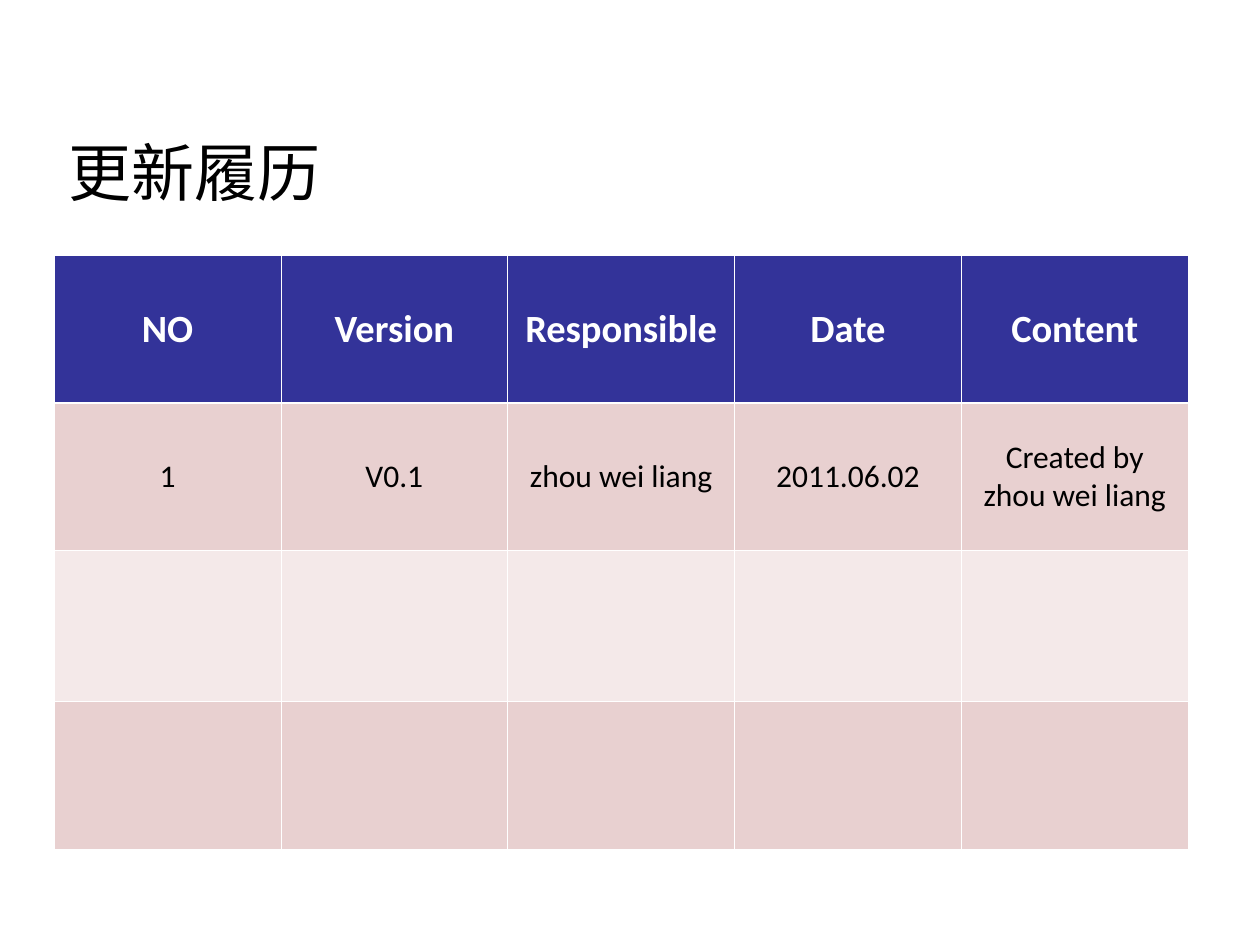
from lxml import etree
from pptx import Presentation
from pptx import util as u
from pptx.dml.color import RGBColor
from pptx.enum import text as t
from pptx.oxml import ns

WIDE, HIGH = u.Inches(10), u.Inches(7.5)
HEAD = {"size": u.Pt(22), "name": "Calibri", "bold": True}
BODY = {"size": u.Pt(18), "name": "Calibri", "bold": False}
ROWS = [
    # height, fill, text colour, font, space before, words
    (1.17, "333399", "FFFFFF", HEAD, 5.5,
     ["NO", "Version", "Responsible", "Date", "Content"]),
    (1.17, "E8D0D0", "000000", BODY, 4.5,
     ["1", "V0.1", "zhou wei liang", "2011.06.02", "Created by zhou wei liang"]),
    (1.2, "F4E9E9", "000000", BODY, 4.5, [""] * 5),
    (1.17, "E8D0D0", "000000", BODY, 4.5, [""] * 5),
]


def paint(fill, tone):
    fill.solid()
    fill.fore_color.rgb = RGBColor.from_string(tone)


def style(font, tone, form):
    paint(font.fill, tone)
    for key, val in form.items():
        setattr(font, key, val)


def edge(cell, side, width):
    """Draw a white border on one side (L, R, T or B) of a cell."""
    props = cell._tc.get_or_add_tcPr()
    line = etree.SubElement(props, ns.qn(f"a:ln{side}"), w=str(u.Pt(width)))
    fill = etree.SubElement(line, ns.qn("a:solidFill"))
    etree.SubElement(fill, ns.qn("a:srgbClr"), val="FFFFFF")


def add_title(slide, box, words):
    title = slide.shapes.title
    title.left, title.top, title.width, title.height = box
    frame = title.text_frame
    frame.text = words
    frame.vertical_anchor = t.MSO_ANCHOR.MIDDLE
    para = frame.paragraphs[0]
    para.alignment = t.PP_ALIGN.LEFT
    style(para.runs[0].font, "000000",
          {"size": u.Pt(36), "name": "League Spartan"})


def add_log(slide, box):
    """Place the table of revisions in the box."""
    table = slide.shapes.add_table(len(ROWS), len(ROWS[0][-1]), *box).table
    for r, (high, tone, ink, form, gap, words) in enumerate(ROWS):
        table.rows[r].height = u.Inches(high)
        for c, word in enumerate(words):
            cell = table.cell(r, c)
            for side in "LRTB":
                heavy = (r, side) in ((0, "B"), (1, "T"))
                edge(cell, side, 1.47 if heavy else 0.45)
            paint(cell.fill, tone)
            cell.vertical_anchor = t.MSO_ANCHOR.MIDDLE
            if word:
                cell.text = word
                para = cell.text_frame.paragraphs[0]
                para.alignment = t.PP_ALIGN.CENTER
                para.space_before = u.Pt(gap)
                style(para.runs[0].font, ink, form)


def main():
    deck = Presentation()
    deck.slide_width, deck.slide_height = WIDE, HIGH
    slide = deck.slides.add_slide(deck.slide_layouts[5])
    paint(slide.background.fill, "FFFFFF")
    add_title(slide, [u.Inches(n) for n in (0.44, 0.85, 8.98, 1.02)], "更新履历")
    high = sum(row[0] for row in ROWS)
    add_log(slide, [u.Inches(n) for n in (0.43, 2.03, 9, high)])
    deck.save("out.pptx")


if __name__ == "__main__":
    main()
